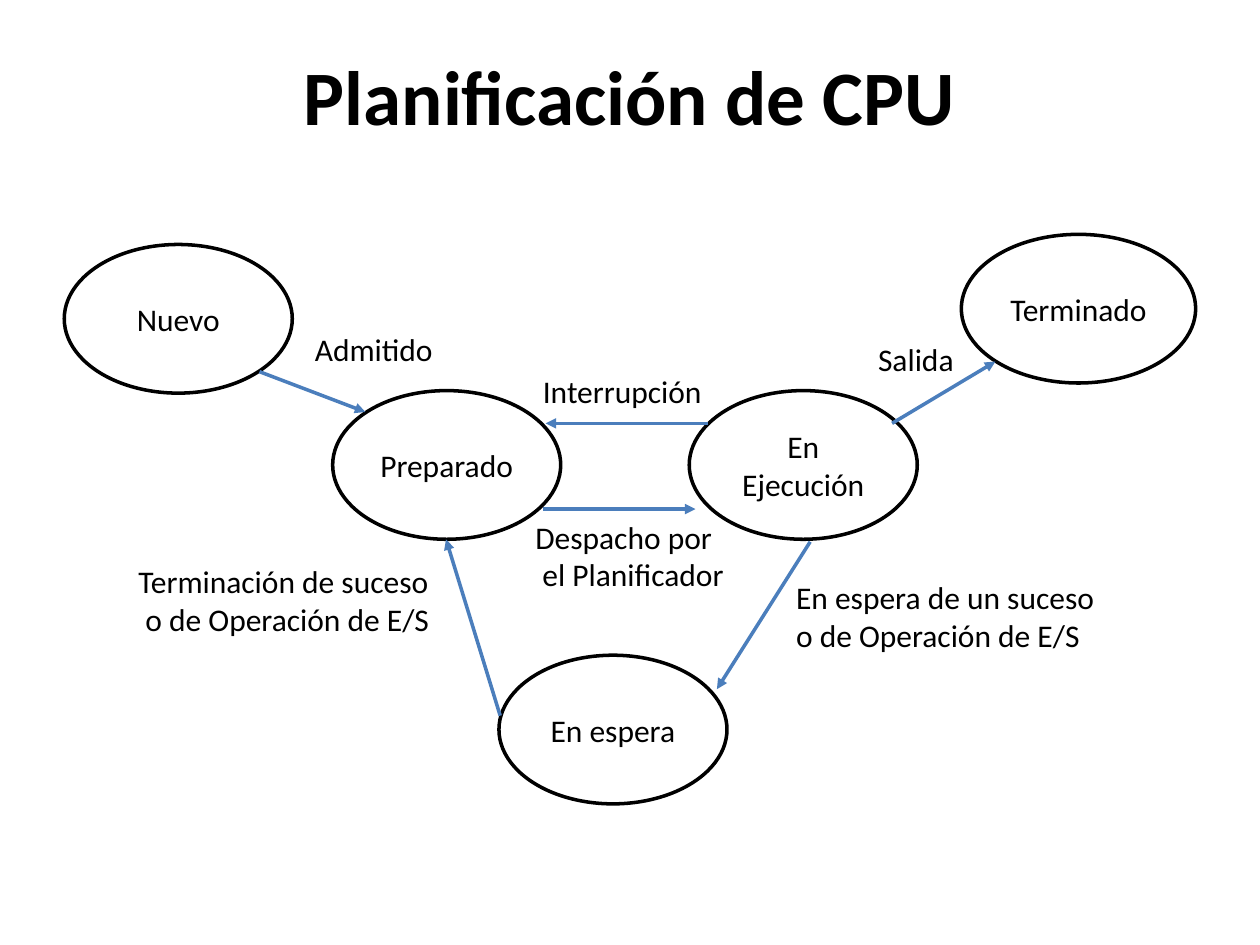
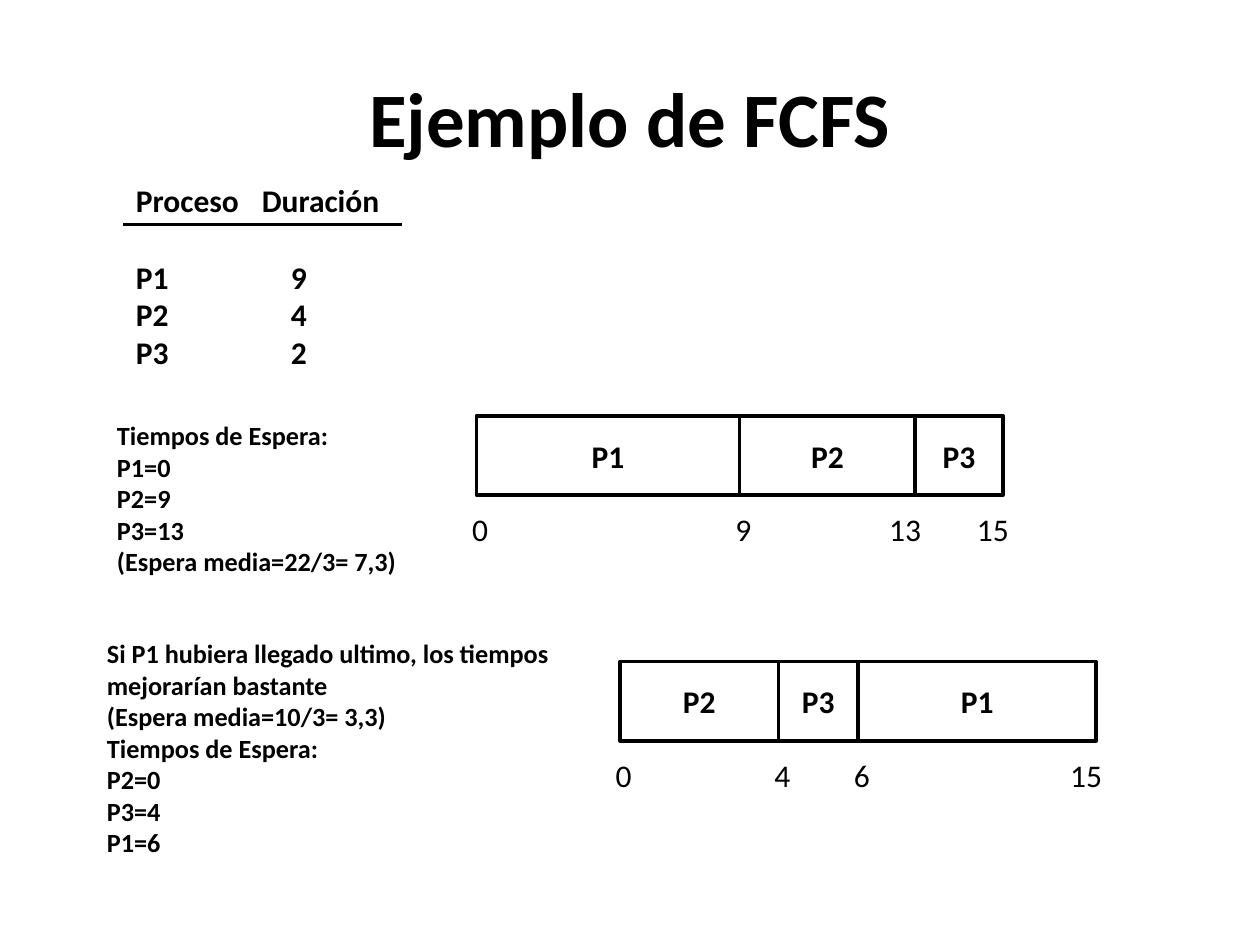
from itertools import accumulate

from lxml import etree
from pptx import Presentation
from pptx.dml.color import RGBColor
from pptx.enum.shapes import MSO_CONNECTOR, MSO_SHAPE
from pptx.enum.text import MSO_ANCHOR, PP_ALIGN
from pptx.oxml.ns import qn
from pptx.util import Inches, Pt

FONT = "Calibri"
BLACK, WHITE, BLUE = "000000", "FFFFFF", "4B7EBC"
STATE_W, STATE_H = 1.81, 1.18

STATES = [
    ("Nuevo", 0.51, 1.94, STATE_W),
    ("Terminado", 7.63, 1.86, 1.86),
    ("Preparado", 2.64, 3.1, STATE_W),
    ("En Ejecución", 5.47, 3.1, STATE_W),
    ("En espera", 3.96, 5.2, STATE_W),
]
TRANSITIONS = [
    ((2.06, 2.95), (2.9, 3.27), ["Admitido"], (2.4, 2.57, 1.15)),
    ((7.08, 3.36), (7.9, 2.87), ["Salida"], (6.87, 2.65, 0.81)),
    ((5.62, 3.36), (4.33, 3.36), ["Interrupción"], (4.21, 2.9, 1.48)),
    ((4.31, 4.04), (5.52, 4.04), ["Despacho por", " el Planificador"], (4.15, 4.06, 1.72)),
    ((3.97, 5.68), (3.54, 4.28), ["Terminación de suceso", " o de Operación de E/S"], (1, 4.41, 2.54)),
    ((6.43, 4.3), (5.69, 5.47), ["En espera de un suceso", "o de Operación de E/S"], (6.22, 4.54, 2.66)),
]

DURATIONS = {"P1": 9, "P2": 4, "P3": 2}
BAR_PARTS = {"P1": 6, "P2": 4, "P3": 2}
BAR_H = 0.63
SCHEDULES = [
    {
        "order": ["P1", "P2", "P3"], "at": (3.78, 3.3), "width": 4.18,
        "notes_at": (0.83, 3.28, 2.78, 1.36),
        "notes": ["Tiempos de Espera:", "P1=0", "P2=9", "P3=13", "(Espera media=22/3= 7,3)"],
    },
    {
        "order": ["P2", "P3", "P1"], "at": (4.92, 5.25), "width": 3.78,
        "notes_at": (0.75, 5.01, 3.82, 1.87),
        "notes": [
            "Si P1 hubiera llegado ultimo, los tiempos mejorarían bastante",
            "(Espera media=10/3= 3,3)", "Tiempos de Espera:", "P2=0", "P3=4", "P1=6",
        ],
    },
]


def rgb(color):
    return RGBColor.from_string(color)


def write(tf, lines, size=18, bold=False, align=PP_ALIGN.LEFT):
    for i, line in enumerate(lines):
        p = tf.paragraphs[0] if i == 0 else tf.add_paragraph()
        p.alignment = align
        r = p.add_run()
        r.text = line
        r.font.name, r.font.size, r.font.bold = FONT, Pt(size), bold
        r.font.color.rgb = rgb(BLACK)


def add_text(s, lines, x, y, w, h, wrap=True, anchor=MSO_ANCHOR.TOP, **style):
    tf = s.shapes.add_textbox(Inches(x), Inches(y), Inches(w), Inches(h)).text_frame
    tf.word_wrap = wrap
    tf.vertical_anchor = anchor
    write(tf, lines, **style)
    return tf


def add_box(s, shape, text, x, y, w, h, bold=False):
    sp = s.shapes.add_shape(shape, Inches(x), Inches(y), Inches(w), Inches(h))
    sp.shadow.inherit = False
    sp.fill.solid()
    sp.fill.fore_color.rgb = rgb(WHITE)
    sp.line.color.rgb = rgb(BLACK)
    sp.line.width = Pt(2)
    tf = sp.text_frame
    tf.word_wrap = True
    tf.margin_left = tf.margin_right = Inches(0.05)
    tf.vertical_anchor = MSO_ANCHOR.MIDDLE
    write(tf, [text], bold=bold, align=PP_ALIGN.CENTER)


def add_line(s, start, end, color, width, arrow=False):
    points = [Inches(v) for v in (*start, *end)]
    line = s.shapes.add_connector(MSO_CONNECTOR.STRAIGHT, *points)
    line.line.color.rgb = rgb(color)
    line.line.width = Pt(width)
    if arrow:
        etree.SubElement(line.line._get_or_add_ln(), qn("a:tailEnd"), type="triangle")
    etree.SubElement(line._element.spPr, qn("a:effectLst"))


def add_slide(prs, title, title_y):
    s = prs.slides.add_slide(prs.slide_layouts[6])
    add_text(s, [title], 0.5, title_y, 9, 1.25, anchor=MSO_ANCHOR.MIDDLE,
             size=44, bold=True, align=PP_ALIGN.CENTER)
    return s


def add_state_diagram(s):
    for name, x, y, w in STATES:
        add_box(s, MSO_SHAPE.OVAL, name, x, y, w, STATE_H)
    for start, end, label, (x, y, w) in TRANSITIONS:
        add_line(s, start, end, BLUE, 2, arrow=True)
        add_text(s, label, x, y, w, 0.1 + 0.3 * len(label), wrap=False)


def add_durations(s):
    rows = ["Proceso\tDuración"] + [f"{name}\t{time}" for name, time in DURATIONS.items()]
    tf = add_text(s, rows, 0.98, 1.39, 2.52, 1.62, bold=True)
    tf.paragraphs[1].space_before = Pt(22)
    for i, p in enumerate(tf.paragraphs):
        tabs = etree.SubElement(p._p.get_or_add_pPr(), qn("a:tabLst"))
        stop = Inches(1 if i == 0 else 1.23)
        etree.SubElement(tabs, qn("a:tab"), pos=str(stop), algn="l")
    add_line(s, (0.98, 1.78), (3.19, 1.78), BLACK, 1.75)


def add_schedule(s, plan):
    add_text(s, plan["notes"], *plan["notes_at"], size=15, bold=True)
    x, y = plan["at"]
    unit = plan["width"] / sum(BAR_PARTS.values())
    widths = [unit * BAR_PARTS[name] for name in plan["order"]]
    edges = list(accumulate(widths, initial=x))
    times = accumulate((DURATIONS[name] for name in plan["order"]), initial=0)
    for name, left, w in zip(plan["order"], edges, widths):
        add_box(s, MSO_SHAPE.RECTANGLE, name, left, y, w, BAR_H, bold=True)
    for time, edge in zip(times, edges):
        center = edge + (0.03 if time < 10 else -0.08)
        add_text(s, [str(time)], center - 0.3, y + 0.7, 0.6, 0.4, align=PP_ALIGN.CENTER)


def main():
    prs = Presentation()
    prs.slide_width, prs.slide_height = Inches(10), Inches(7.5)
    add_state_diagram(add_slide(prs, "Planificación de CPU", 0.13))
    s = add_slide(prs, "Ejemplo de FCFS", 0.3)
    add_durations(s)
    for plan in SCHEDULES:
        add_schedule(s, plan)
    prs.save("out.pptx")


if __name__ == "__main__":
    main()
